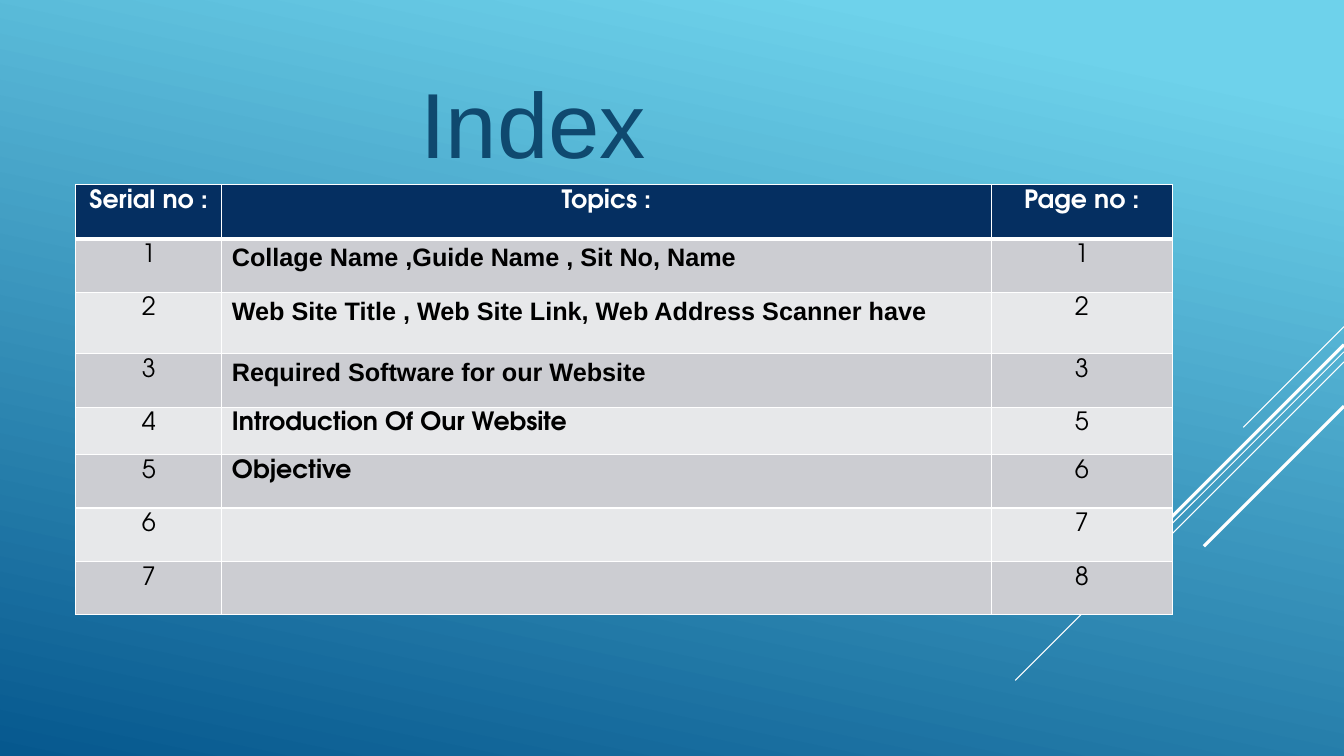
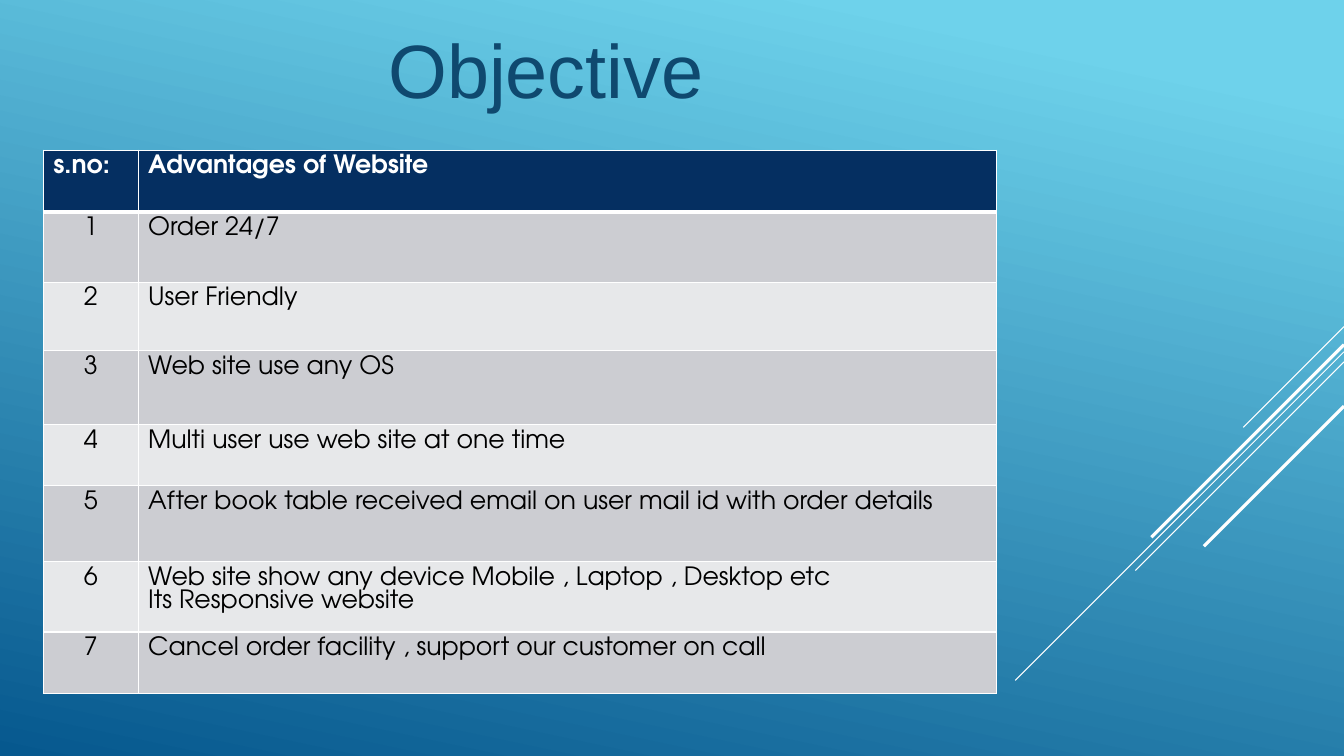
from lxml.etree import SubElement
from pptx import Presentation
from pptx.dml.color import RGBColor
from pptx.enum.shapes import MSO_CONNECTOR
from pptx.enum.text import MSO_ANCHOR, PP_ALIGN
from pptx.oxml.ns import qn
from pptx.util import Inches, Pt

# Shared look
WIDTH, HEIGHT = 13.33, 7.5
COLORS = {
    "sky": "6ED2EB", "deep": "06588E", "title": "0F496F", "header": "052F61",
    "odd": "CCCDD2", "even": "E7E8EA", "white": "FFFFFF", "black": "000000",
}
TITLE_FONT, TABLE_FONT = "Arial", "TeX Gyre Adventor"
GRADIENT = [(0.1, "sky"), (1, "deep")]
GRADIENT_ANGLE = 258
TITLE_LEFT, TITLE_WIDTH = 0.75, 9.33
# Diagonal lines from the right edge: top, reach to the left and down, points
DIAGONALS = [(3.24, 1, 0.75), (3.49, 3.26, 0.75), (3.59, 2.07, 0.75),
             (3.42, 1.91, 2.25), (4.03, 1.39, 2.25)]
LEFT, CENTER = PP_ALIGN.LEFT, PP_ALIGN.CENTER

# Content; "arial" and "bold" list the body rows whose topic is set that way
SLIDES = [
    {
        "title": "Index ", "title_size": 66, "title_top": 0.75, "title_height": 0.92,
        "origin": (0.75, 1.83),
        "columns": [1.45, 7.63, 1.8],
        "heights": [0.54, 0.53, 0.61, 0.53, 0.47, 0.53, 0.53, 0.53],
        "header_align": CENTER, "arial": (1, 2, 3), "bold": (1, 2, 3, 4, 5),
        "rows": [
            ("Serial no :", "Topics :", "Page no :"),
            ("1", "Collage Name ,Guide Name , Sit No, Name", "1"),
            ("2", "Web Site Title , Web Site Link, Web Address Scanner have", "2"),
            ("3", "Required Software for our Website", "3"),
            ("4", "Introduction Of Our Website", "5"),
            ("5", "Objective", "6"),
            ("6", "", "7"),
            ("7", "", "8"),
        ],
    },
    {
        "title": "Objective", "title_size": 54, "title_top": 0.21, "title_height": 0.94,
        "origin": (0.43, 1.49),
        "columns": [0.94, 8.51],
        "heights": [0.61, 0.7, 0.68, 0.73, 0.61, 0.75, 0.7, 0.61],
        "header_align": LEFT, "arial": (), "bold": (),
        "rows": [
            ("s.no:", "Advantages of Website"),
            ("1", "Order 24/7"),
            ("2", "User Friendly"),
            ("3", "Web site use any OS"),
            ("4", "Multi user use web site at one time"),
            ("5", "After book table received email on user mail id with order details"),
            ("6", "Web site show any device Mobile , Laptop , Desktop etc\n"
                  "Its Responsive website"),
            ("7", "Cancel order facility , support our customer on call"),
        ],
    },
]


def rgb(name):
    return RGBColor.from_string(COLORS[name])


def style_paragraph(paragraph, font_name, size, color, align, bold=False):
    paragraph.alignment = align
    font = paragraph.font
    font.name, font.size, font.bold = font_name, Pt(size), bold
    font.color.rgb = rgb(color)


def add_background(slide):
    fill = slide.background.fill
    fill.gradient()
    fill.gradient_angle = GRADIENT_ANGLE
    for stop, (position, color) in zip(fill.gradient_stops, GRADIENT):
        stop.position = position
        stop.color.rgb = rgb(color)
    for top, reach, points in DIAGONALS:
        line = slide.shapes.add_connector(
            MSO_CONNECTOR.STRAIGHT, Inches(WIDTH), Inches(top),
            Inches(WIDTH - reach), Inches(top + reach))
        line.line.color.rgb = rgb("white")
        line.line.width = Pt(points)
        SubElement(line._element.spPr, qn("a:effectLst"))


def add_title(slide, content):
    box = slide.shapes.add_textbox(
        Inches(TITLE_LEFT), Inches(content["title_top"]),
        Inches(TITLE_WIDTH), Inches(content["title_height"]))
    frame = box.text_frame
    frame.word_wrap = True
    frame.vertical_anchor = MSO_ANCHOR.MIDDLE
    frame.text = content["title"]
    paragraph = frame.paragraphs[0]
    size = content["title_size"]
    style_paragraph(paragraph, TITLE_FONT, size, "title", CENTER)
    paragraph.space_before, paragraph.space_after = Pt(0.2 * size), Pt(6)


def set_borders(cell, row):
    # The rule under the header is heavier than the others
    points = {"lnL": 1, "lnR": 1, "lnT": 3 if row == 1 else 1, "lnB": 3 if row == 0 else 1}
    properties = cell._tc.get_or_add_tcPr()
    for side, width in points.items():
        border = SubElement(properties, qn(f"a:{side}"), w=str(Pt(width)))
        fill = SubElement(border, qn("a:solidFill"))
        SubElement(fill, qn("a:srgbClr"), val=COLORS["white"])


def add_table(slide, content):
    rows, columns, heights = content["rows"], content["columns"], content["heights"]
    left, top = content["origin"]
    table = slide.shapes.add_table(
        len(rows), len(columns), Inches(left), Inches(top),
        Inches(sum(columns)), Inches(sum(heights))).table
    for column, width in zip(table.columns, columns):
        column.width = Inches(width)
    for table_row, height in zip(table.rows, heights):
        table_row.height = Inches(height)

    for row, texts in enumerate(rows):
        for column, text in enumerate(texts):
            cell = table.cell(row, column)
            is_topic = column == 1
            if row == 0:
                fill, color, bold = "header", "white", True
                align = content["header_align"]
            else:
                fill, color = "odd" if row % 2 else "even", "black"
                bold = is_topic and row in content["bold"]
                align = LEFT if is_topic else CENTER
            font_name = TITLE_FONT if is_topic and row in content["arial"] else TABLE_FONT
            set_borders(cell, row)
            cell.fill.solid()
            cell.fill.fore_color.rgb = rgb(fill)
            cell.text = text
            for paragraph in cell.text_frame.paragraphs:
                style_paragraph(paragraph, font_name, 18, color, align, bold)


def main():
    presentation = Presentation()
    presentation.slide_width = Inches(WIDTH)
    presentation.slide_height = Inches(HEIGHT)
    for content in SLIDES:
        slide = presentation.slides.add_slide(presentation.slide_layouts[6])
        add_background(slide)
        add_title(slide, content)
        add_table(slide, content)
    presentation.save("out.pptx")


if __name__ == "__main__":
    main()
